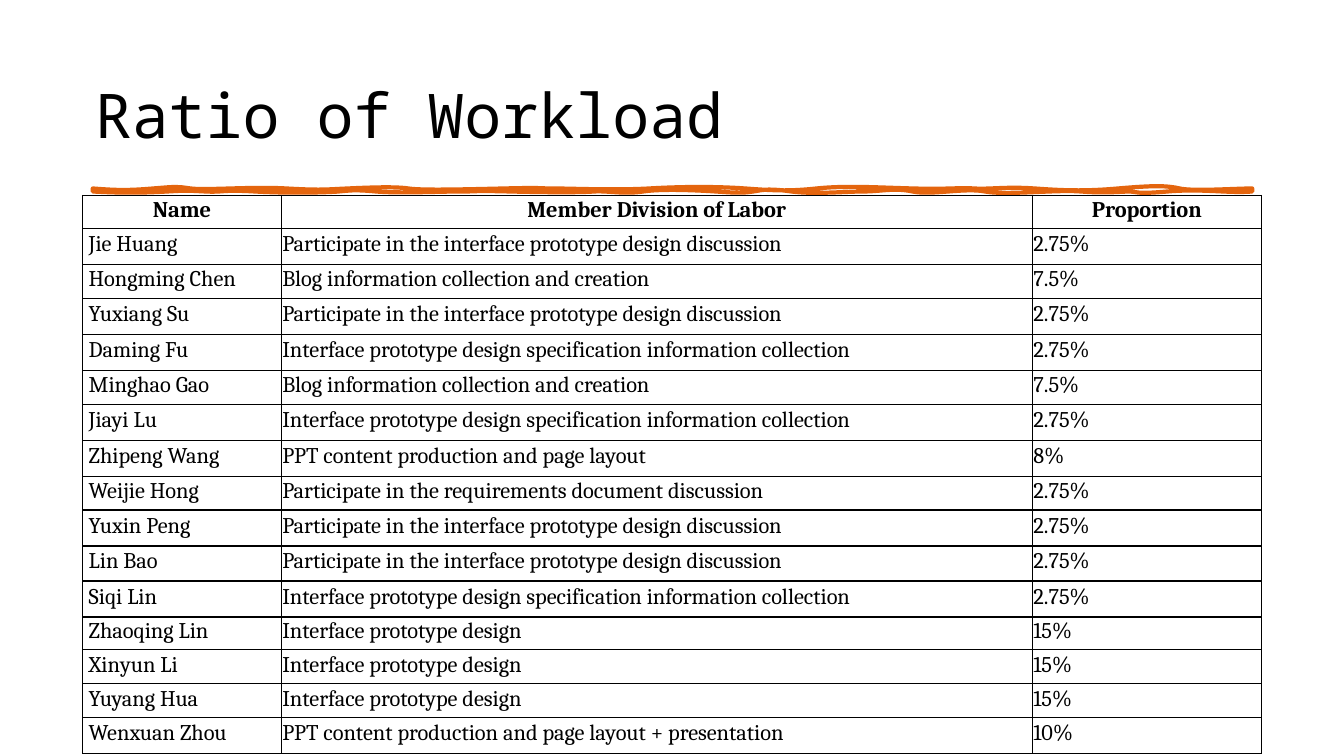
from lxml.etree import SubElement
from pptx import Presentation
from pptx.dml.color import RGBColor as RGB
from pptx.enum.text import MSO_ANCHOR as Anchor, MSO_AUTO_SIZE as Fit, PP_ALIGN as Align
from pptx.oxml import parse_xml
from pptx.oxml.ns import nsdecls, qn
from pptx.util import Inches, Pt

HUES = {"ink": "000000", "brush": "E4650E"}
HEAD = ("Name", "Member Division of Labor", "Proportion")
TALK = "Participate in the interface prototype design discussion"
BLOG = "Blog information collection and creation"
SPEC = "Interface prototype design specification information collection"
DRAFT = "Interface prototype design"
DECK = "PPT content production and page layout"
ROWS = [
    HEAD,
    ("Jie Huang", TALK, "2.75%"),
    ("Hongming Chen", BLOG, "7.5%"),
    ("Yuxiang Su", TALK, "2.75%"),
    ("Daming Fu", SPEC, "2.75%"),
    ("Minghao Gao", BLOG, "7.5%"),
    ("Jiayi Lu", SPEC, "2.75%"),
    ("Zhipeng Wang", DECK, "8%"),
    ("Weijie Hong", "Participate in the requirements document discussion", "2.75%"),
    ("Yuxin Peng", TALK, "2.75%"),
    ("Lin Bao", TALK, "2.75%"),
    ("Siqi Lin", SPEC, "2.75%"),
    ("Zhaoqing Lin", DRAFT, "15%"),
    ("Xinyun Li", DRAFT, "15%"),
    ("Yuyang Hua", DRAFT, "15%"),
    ("Wenxuan Zhou", DECK + " + presentation", "10%"),
]
WIDTHS = (1.97, 7.45, 2.27)
HIGHS = {0: 0.33, 2: 0.34, 5: 0.34, 8: 0.34, 10: 0.35, 12: 0.33, 13: 0.34, 14: 0.34}
LEFT, RIGHT, TOP, BASE = 0.92, 12.42, 1.87, 1.9
UPPER = [
    (1.17, 1.89, 1.28, 1.89, 1.52), (1.76, 1.85, 1.75, 1.85, 1.89),
    (2.04, 1.89, 2.49, 1.85, 2.84), (3.19, 1.89, 3.23, 1.88, 3.45),
    (3.67, 1.86, 3.92, 1.85, 4.05), (4.18, 1.89, 4.58, 1.88, 5),
    (5.42, 1.86, 5.3, 1.87, 5.49), (5.67, 1.87, 6.09, 1.89, 6.44),
    (6.78, 1.85, 7.11, 1.85, 7.39), (7.66, 1.89, 7.82, 1.9, 8.1),
    (8.39, 1.84, 8.69, 1.86, 9.05), (9.42, 1.88, 9.5, 1.86, 9.66),
    (9.82, 1.88, 9.98, 1.85, 10.26), (10.54, 1.89, 10.75, 1.9, 11.09),
    (11.44, 1.84, 11.57, 1.84, 11.7), (11.83, 1.9, 12.26, 1.87, RIGHT),
]
LOWER = [
    (RIGHT, 1.88, RIGHT, 1.89, RIGHT),
    (12.19, 1.92, 11.93, 1.87, 11.58), (11.24, 1.93, 11.29, 1.9, 11.21),
    (11.13, 1.9, 10.96, 1.92, 10.72), (10.48, 1.88, 9.97, 1.94, 9.77),
    (9.57, 1.86, 9.24, 1.94, 9.05), (8.87, 1.86, 8.74, 1.9, 8.56),
    (8.39, 1.9, 8.07, 1.93, 7.85), (7.63, 1.87, 7.59, 1.88, 7.47),
    (7.36, 1.92, 7.25, 1.91, 7.1), (6.94, 1.89, 6.57, 1.87, 6.38),
    (6.19, 1.93, 6.01, 1.89, 5.89), (5.77, 1.91, 5.46, 1.91, 5.06),
    (4.65, 1.89, 4.79, 1.9, 4.57), (4.34, 1.9, 3.96, 1.92, 3.73),
    (3.51, 1.88, 3.48, 1.89, 3.36), (3.24, 1.91, 2.87, 1.92, 2.53),
    (2.18, 1.88, 2.23, 1.91, 2.04), (1.84, 1.89, 1.84, 1.89, 1.66),
    (1.49, 1.91, 1.27, 1.92, LEFT),
]


def color(name):
    return RGB.from_string(HUES[name])


def style(para, font, size, bold=False):
    para.font.name = font
    para.font.size = Pt(size)
    para.font.bold = bold
    para.font.color.rgb = color("ink")


def bend(brush, waves):
    lines = list(brush._element.iter(qn("a:lnTo")))
    for line, wave in zip(lines, waves):
        line.tag = qn("a:cubicBezTo")
        for spot, (x, y) in enumerate((wave[:2], wave[2:4])):
            dot = line.makeelement(qn("a:pt"), {
                "x": str(Inches(x) - brush.left), "y": str(Inches(y) - brush.top)})
            line.insert(spot, dot)


def add_brush(slide):
    waves = [(*w, TOP) for w in UPPER] + [(*w, BASE) for w in LOWER]
    waves.append((LEFT, 1.89, LEFT, 1.88, LEFT, TOP))
    pen = slide.shapes.build_freeform(Inches(LEFT), Inches(TOP))
    pen.add_line_segments([(Inches(w[4]), Inches(w[5])) for w in waves], close=True)
    brush = pen.convert_to_shape()
    bend(brush, waves)
    brush.shadow.inherit = False
    brush.fill.background()
    brush.line.color.rgb = color("brush")
    brush.line.width = Pt(3)


def add_title(slide, text):
    title = slide.shapes.title
    title.left, title.top = Inches(0.84), Inches(0.4)
    title.width, title.height = Inches(11.5), Inches(1.45)
    frame = title.text_frame
    frame.text = text
    frame.vertical_anchor = Anchor.MIDDLE
    frame.auto_size = Fit.NONE
    para = frame.paragraphs[0]
    para.alignment = Align.LEFT
    style(para, "Noto Sans Mono", 44)


def add_edges(cell):
    props = cell._tc.get_or_add_tcPr()
    for spot, side in enumerate(("lnL", "lnR", "lnT", "lnB")):
        edge = parse_xml(f'<a:{side} {nsdecls("a")} w="{Pt(1)}"/>')
        fill = SubElement(edge, qn("a:solidFill"))
        SubElement(fill, qn("a:srgbClr"), val=HUES["ink"])
        props.insert(spot, edge)


def fill_cell(cell, text, head, inset):
    cell.text = text
    cell.vertical_anchor = Anchor.MIDDLE
    cell.margin_left = Inches(inset)
    cell.margin_right = cell.margin_top = Inches(0.01)
    cell.margin_bottom = Inches(0.05)
    cell.fill.background()
    add_edges(cell)
    para = cell.text_frame.paragraphs[0]
    para.alignment = Align.CENTER if head else Align.LEFT
    style(para, "Cambria", 16, head)


def add_grid(slide):
    high = 5.54
    frame = slide.shapes.add_table(
        len(ROWS), len(HEAD), Inches(0.82), Inches(1.94), Inches(sum(WIDTHS)), Inches(high))
    table = frame.table
    table.first_row = table.horz_banding = False
    for col, width in zip(table.columns, WIDTHS):
        col.width = Inches(width)
    parts = [HIGHS.get(r, 0.36) for r in range(len(ROWS))]
    for r, texts in enumerate(ROWS):
        table.rows[r].height = Inches(high * parts[r] / sum(parts))
        for c, text in enumerate(texts):
            fill_cell(table.cell(r, c), text, r == 0, 0.06 if r and c == 0 else 0.01)


def main():
    deck = Presentation()
    deck.slide_width, deck.slide_height = Inches(13.33), Inches(7.5)
    slide = deck.slides.add_slide(deck.slide_layouts[5])
    add_title(slide, "Ratio of Workload")
    add_brush(slide)
    add_grid(slide)
    deck.save("out.pptx")


if __name__ == "__main__":
    main()
